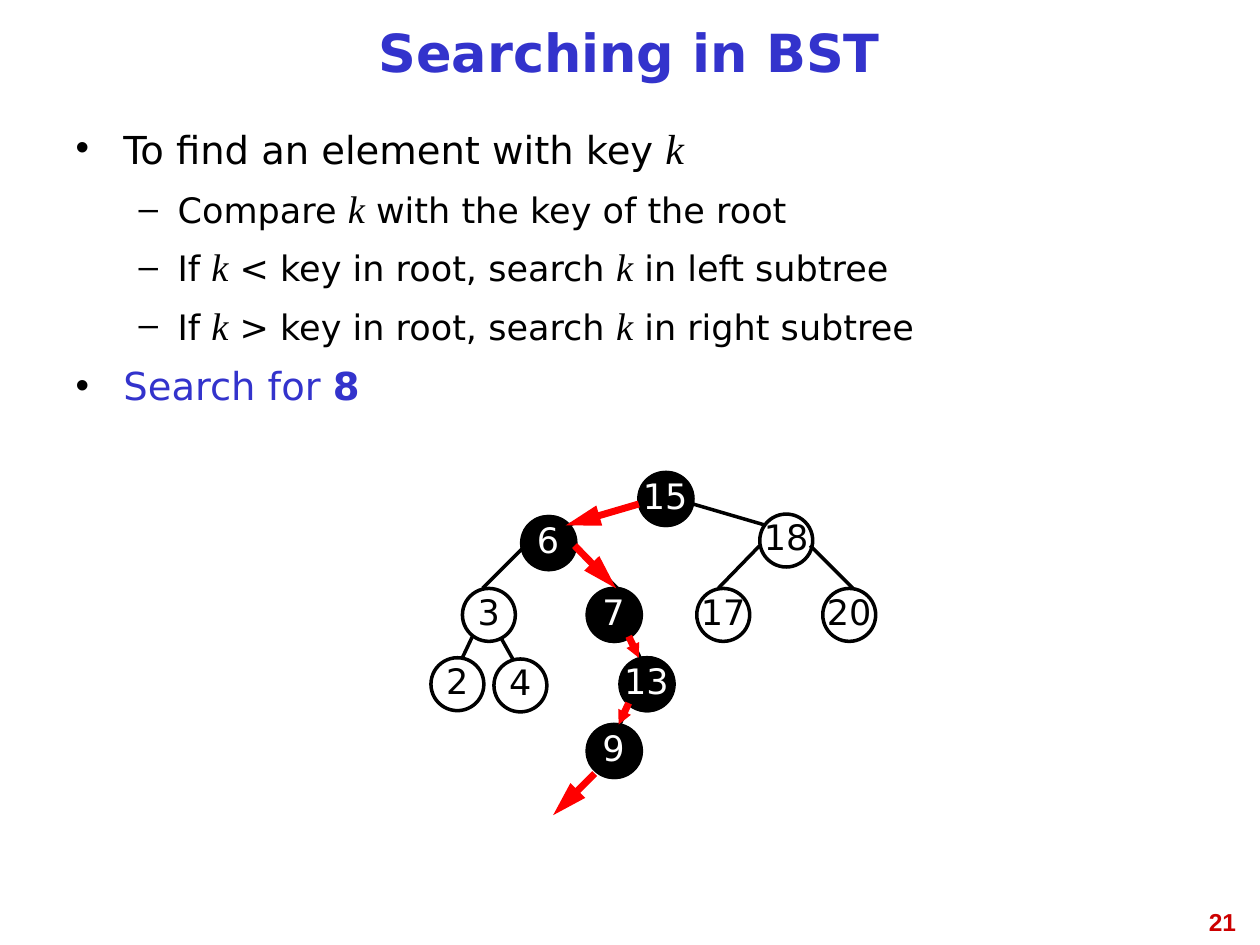
from math import dist

from lxml import etree
from pptx import Presentation
from pptx.dml.color import RGBColor
from pptx.enum.shapes import MSO_CONNECTOR, MSO_SHAPE
from pptx.enum.text import MSO_ANCHOR, MSO_AUTO_SIZE, PP_ALIGN
from pptx.oxml.ns import qn
from pptx.util import Inches, Pt

OVAL = MSO_SHAPE.OVAL
STRAIGHT = MSO_CONNECTOR.STRAIGHT
MIDDLE = MSO_ANCHOR.MIDDLE
NO_FIT = MSO_AUTO_SIZE.NONE
CENTER, RIGHT, JUSTIFY = PP_ALIGN.CENTER, PP_ALIGN.RIGHT, PP_ALIGN.JUSTIFY

COLORS = {"ink": "000000", "paper": "FFFFFF", "heading": "3333CC",
          "path": "FF0000", "number": "CC0000"}
SANS, SERIF = "DejaVu Sans", "Times New Roman"
DIAMETER = 0.42
SHORT_EDGE = 0.3

NODES = {15: (1.66, 0), 6: (0.73, 0.35), 18: (2.61, 0.33), 3: (0.25, 0.92),
         7: (1.25, 0.92), 17: (2.11, 0.92), 20: (3.11, 0.92), 2: (0, 1.47),
         4: (0.5, 1.48), 9: (1.25, 2), 13: (1.51, 1.47)}
EDGES = {(15, 6): (1.66, 0.25, 1.08, 0.42), (15, 18): (2.08, 0.25, 2.66, 0.42),
         (6, 3): (0.75, 0.58, 0.41, 0.92), (6, 7): (1.15, 0.58, 1.48, 0.92),
         (18, 17): (2.61, 0.58, 2.28, 0.92), (18, 20): (3.01, 0.58, 3.35, 0.92),
         (3, 2): (0.33, 1.3, 0.25, 1.47), (3, 4): (0.56, 1.32, 0.65, 1.48),
         (7, 13): (1.58, 1.3, 1.66, 1.47), (13, 9): (1.58, 1.83, 1.5, 2)}
MISS = (1.31, 2.39, 0.98, 2.72)
SEARCH = [15, 6, 7, 13, 9]

BULLETS = [
    (0, "ink", ["To find an element with key ", "k", " "]),
    (1, "ink", ["Compare ", "k", " with the key of the root"]),
    (1, "ink", ["If ", "k", " < key in root, search ", "k", " in left subtree"]),
    (1, "ink", ["If ", "k", " > key in root, search ", "k", " in right subtree"]),
    (0, "heading", ["Search for ", "8"]),
]
LEVELS = [{"size": 22, "char": "•", "left": 0.38, "hang": 0.38, "before": 8},
          {"size": 20, "char": "–", "left": 0.81, "hang": 0.31, "before": 7}]


def rgb(name):
    """Return the named palette colour."""
    return RGBColor.from_string(COLORS[name])


def add_text(p, text, size=20, font=SANS, color="ink", bold=False, italic=False):
    """Append a formatted run to a paragraph."""
    r = p.add_run()
    r.text = text
    r.font.size, r.font.name = Pt(size), font
    r.font.bold, r.font.italic = bold, italic
    r.font.color.rgb = rgb(color)


def place(sp, x, y, w, h):
    """Move a shape to a box and return its text frame."""
    sp.left, sp.top, sp.width, sp.height = map(Inches, (x, y, w, h))
    tf = sp.text_frame
    tf.word_wrap, tf.auto_size = True, NO_FIT
    return tf


def add_title(s, x, y, w, h):
    """Fill the title placeholder."""
    tf = place(s.shapes.title, x, y, w, h)
    tf.vertical_anchor = MIDDLE
    p = tf.paragraphs[0]
    p.alignment, p.line_spacing = CENTER, 0.81
    add_text(p, "Searching in BST", size=30, color="heading", bold=True)


def set_bullet(p, char, left, hang):
    """Give a paragraph a hanging black bullet."""
    pPr = p._p.get_or_add_pPr()
    pPr.set("marL", str(Inches(left)))
    pPr.set("indent", str(-Inches(hang)))
    clr = etree.SubElement(pPr, qn("a:buClr"))
    etree.SubElement(clr, qn("a:srgbClr"), val=COLORS["ink"])
    etree.SubElement(pPr, qn("a:buChar"), char=char)


def add_steps(s, x, y, w, h):
    """Fill the body placeholder with the search steps."""
    tf = place(s.placeholders[1], x, y, w, h)
    for i, (level, color, parts) in enumerate(BULLETS):
        style = LEVELS[level]
        p = tf.paragraphs[0] if i == 0 else tf.add_paragraph()
        p.level, p.alignment = level, JUSTIFY
        p.space_before = Pt(style["before"])
        set_bullet(p, style["char"], style["left"], style["hang"])
        for part in parts:
            if part == "k":
                add_text(p, part, size=style["size"] + 2, font=SERIF, italic=True)
            else:
                add_text(p, part, size=style["size"], color=color, bold=part == "8")


def add_node(s, key, x, y, visited=False):
    """Draw one tree node, filled when visited."""
    sp = s.shapes.add_shape(OVAL, *map(Inches, (x, y, DIAMETER, DIAMETER)))
    sp.shadow.inherit = False
    if visited:
        sp.fill.solid()
        sp.fill.fore_color.rgb = rgb("ink")
    else:
        sp.fill.background()
    sp.line.color.rgb, sp.line.width = rgb("ink"), Pt(2)
    tf = sp.text_frame
    tf.word_wrap, tf.vertical_anchor = False, MIDDLE
    p = tf.paragraphs[0]
    p.alignment, p.line_spacing = CENTER, 0.81
    add_text(p, str(key), color="paper" if visited else "ink")


def add_edge(s, x, y, ends, visited=False):
    """Draw a parent-to-child edge, as a red arrow when visited."""
    x1, y1, x2, y2 = ends
    cx = s.shapes.add_connector(
        STRAIGHT, *map(Inches, (x + x1, y + y1, x + x2, y + y2)))
    cx.line.color.rgb = rgb("path" if visited else "ink")
    cx.line.width = Pt(4 if visited else 2)
    spPr = cx._element.spPr
    if visited:
        short = dist((x1, y1), (x2, y2)) < SHORT_EDGE
        width, length = ("sm", "sm") if short else ("med", "lg")
        etree.SubElement(spPr.find(qn("a:ln")), qn("a:tailEnd"),
                         type="triangle", w=width, len=length)
    etree.SubElement(spPr, qn("a:effectLst"))


def add_tree(s, x, y):
    """Draw the whole search tree."""
    for key, (dx, dy) in NODES.items():
        add_node(s, key, x + dx, y + dy)
    for ends in EDGES.values():
        add_edge(s, x, y, ends)


def add_search_path(s, x, y):
    """Highlight the visited nodes and the arrows between them."""
    for key in SEARCH:
        dx, dy = NODES[key]
        add_node(s, key, x + dx, y + dy, visited=True)
    for step in zip(SEARCH, SEARCH[1:]):
        add_edge(s, x, y, EDGES[step], visited=True)
    add_edge(s, x, y, MISS, visited=True)


def add_number(s, x, y, w, h):
    """Write the slide number."""
    tf = place(s.shapes.add_textbox(0, 0, 0, 0), x, y, w, h)
    p = tf.paragraphs[0]
    p.alignment = RIGHT
    add_text(p, "21", size=14, font="Arial", color="number", bold=True)


def main():
    """Build and save the slide."""
    prs = Presentation()
    prs.slide_width, prs.slide_height = Inches(10), Inches(7.5)
    s = prs.slides.add_slide(prs.slide_layouts[1])
    add_number(s, 7.58, 7.15, 2.33, 0.52)
    add_title(s, 0.5, 0.08, 8.99, 0.75)
    add_steps(s, 0.5, 0.92, 8.99, 2.5)
    add_tree(s, 3.42, 3.75)
    add_search_path(s, 3.41, 3.75)
    prs.save("out.pptx")


if __name__ == "__main__":
    main()
